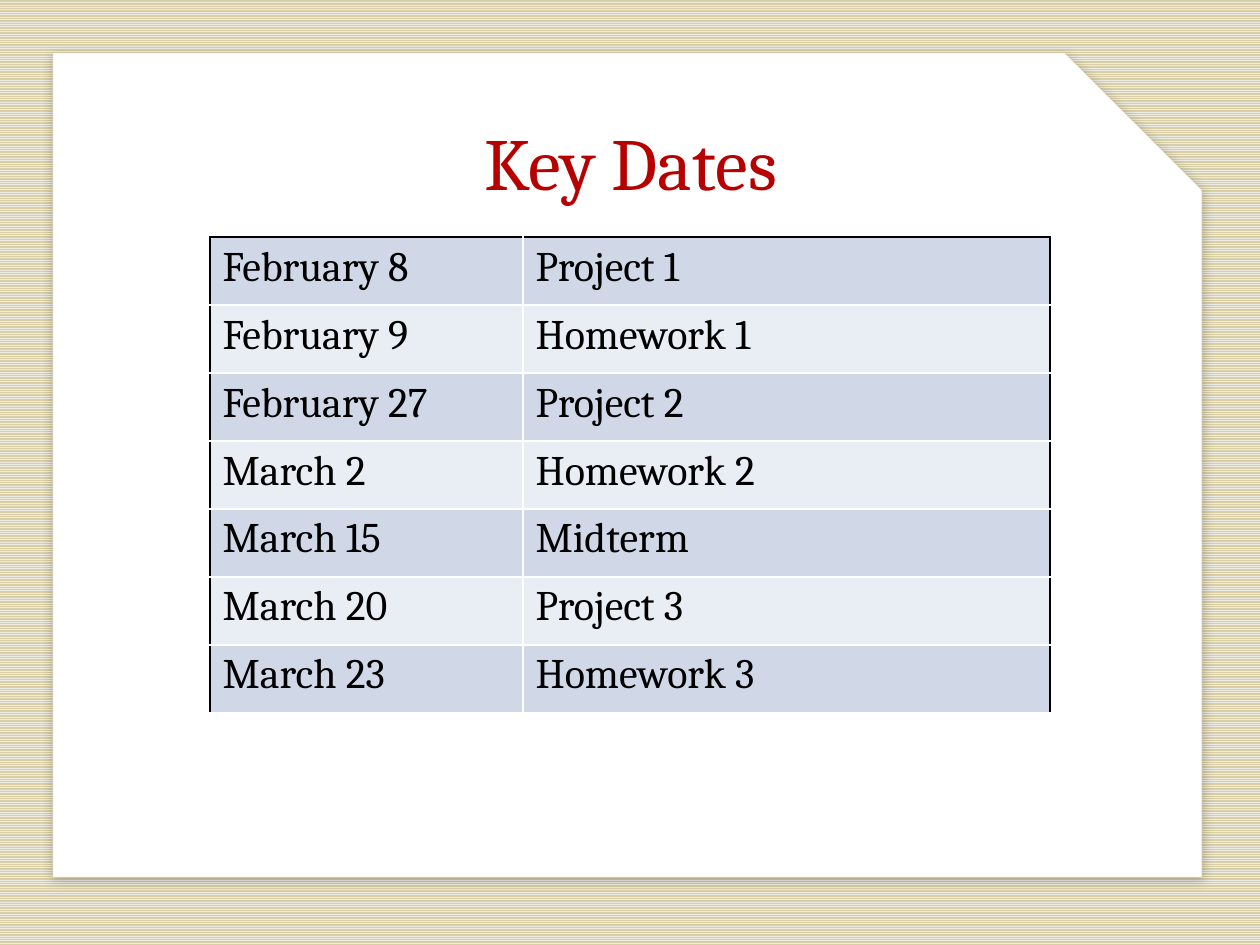
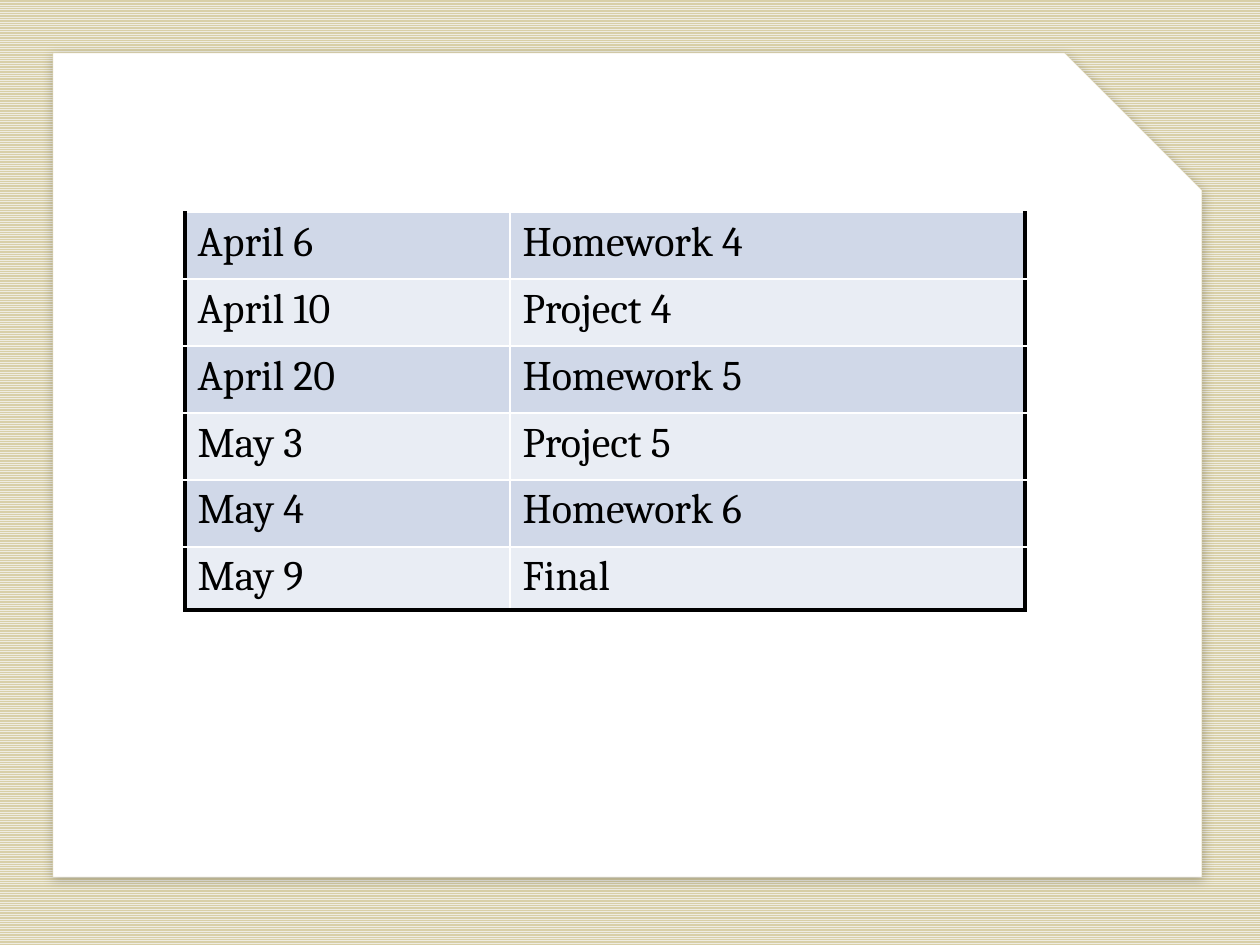
from lxml.etree import SubElement
from pptx import Presentation
from pptx.dml.color import RGBColor
from pptx.enum.dml import MSO_PATTERN
from pptx.enum.shapes import MSO_SHAPE
from pptx.enum.text import MSO_ANCHOR, PP_ALIGN
from pptx.oxml.ns import qn
from pptx.util import Emu, Pt

PIXELS_PER_INCH = 126
FONT = "Cambria"
WHITE = RGBColor(0xFF, 0xFF, 0xFF)
BLACK = RGBColor(0x00, 0x00, 0x00)
RED = RGBColor(0xB7, 0x00, 0x00)
CREAM = RGBColor(0xEE, 0xEC, 0xE1)
SAND = RGBColor(0xD8, 0xCF, 0xA7)
ROW_FILLS = (RGBColor(0xD0, 0xD8, 0xE8), RGBColor(0xE9, 0xED, 0xF4))

EARLY_DATES = [
    ("February 8", "Project 1"),
    ("February 9", "Homework 1"),
    ("February 27", "Project 2"),
    ("March 2", "Homework 2"),
    ("March 15", "Midterm"),
    ("March 20", "Project 3"),
    ("March 23", "Homework 3"),
]
LATE_DATES = [
    ("April 6", "Homework 4"),
    ("April 10", "Project 4"),
    ("April 20", "Homework 5"),
    ("May 3", "Project 5"),
    ("May 4", "Homework 6"),
    ("May 9", "Final"),
]


def px(length):
    return Emu(round(length * 914400 / PIXELS_PER_INCH))


def style_text(para, size, color):
    for span in para.runs:
        span.font.name = FONT
        span.font.size = Pt(size)
        span.font.color.rgb = color


def add_shadow(shape):
    effects = SubElement(shape.element.spPr, qn("a:effectLst"))
    shadow = SubElement(
        effects, qn("a:outerShdw"), blurRad=str(Pt(6)), dist=str(Pt(2)),
        dir=str(80 * 60000), algn="tl", rotWithShape="0")
    color = SubElement(shadow, qn("a:srgbClr"), val=str(BLACK))
    SubElement(color, qn("a:alpha"), val="22000")


def add_page(deck):
    page = deck.slides.add_slide(deck.slide_layouts[6])
    fill = page.background.fill
    fill.patterned()
    fill.pattern = MSO_PATTERN.NARROW_HORIZONTAL
    fill.fore_color.rgb = CREAM
    fill.back_color.rgb = SAND
    panel = page.shapes.add_shape(
        MSO_SHAPE.SNIP_1_RECTANGLE, px(53), px(53), px(1149), px(824))
    panel.fill.solid()
    panel.fill.fore_color.rgb = WHITE
    panel.line.color.rgb = SAND
    panel.line.width = Pt(0.25)
    add_shadow(panel)
    return page


def add_title(page, text):
    box = page.shapes.add_textbox(px(95), px(113), px(1071), px(107))
    frame = box.text_frame
    frame.word_wrap = True
    frame.vertical_anchor = MSO_ANCHOR.TOP
    frame.margin_left = frame.margin_right = frame.margin_bottom = 0
    frame.margin_top = px(4)
    frame.text = text
    para = frame.paragraphs[0]
    para.alignment = PP_ALIGN.CENTER
    style_text(para, 42, RED)


def add_borders(cell, black_sides, black_width):
    properties = cell._tc.get_or_add_tcPr()
    for side in "LRTB":
        is_black = side in black_sides
        width = Pt(black_width if is_black else 1)
        line = SubElement(properties, qn(f"a:ln{side}"), w=str(width))
        fill = SubElement(line, qn("a:solidFill"))
        SubElement(fill, qn("a:srgbClr"), val=str(BLACK if is_black else WHITE))


def add_date_table(page, left, top, widths, heights, dates, black_sides, black_width):
    table = page.shapes.add_table(
        len(dates), len(widths), px(left), px(top),
        px(sum(widths)), px(sum(heights))).table
    table.first_row = False
    table.horz_banding = False
    for column, width in zip(table.columns, widths):
        column.width = px(width)
    for row, height in zip(table.rows, heights):
        row.height = px(height)
    for row_index, entry in enumerate(dates):
        for column_index, text in enumerate(entry):
            cell = table.cell(row_index, column_index)
            cell.text = text
            style_text(cell.text_frame.paragraphs[0], 24, BLACK)
            outer = {
                "L": column_index == 0,
                "R": column_index == len(widths) - 1,
                "T": row_index == 0,
                "B": row_index == len(dates) - 1,
            }
            sides = [side for side in black_sides if outer[side]]
            add_borders(cell, sides, black_width)
            cell.fill.solid()
            cell.fill.fore_color.rgb = ROW_FILLS[row_index % 2]


def main():
    deck = Presentation()
    deck.slide_width = px(1260)
    deck.slide_height = px(945)

    page = add_page(deck)
    add_title(page, "Key Dates")
    add_date_table(page, 210, 237, (313, 527), [68] * 7, EARLY_DATES, "LRT", 1)

    page = add_page(deck)
    add_date_table(page, 185, 212, (325, 515), [67] * 5 + [60], LATE_DATES, "LRB", 2.25)

    deck.save("out.pptx")


main()
